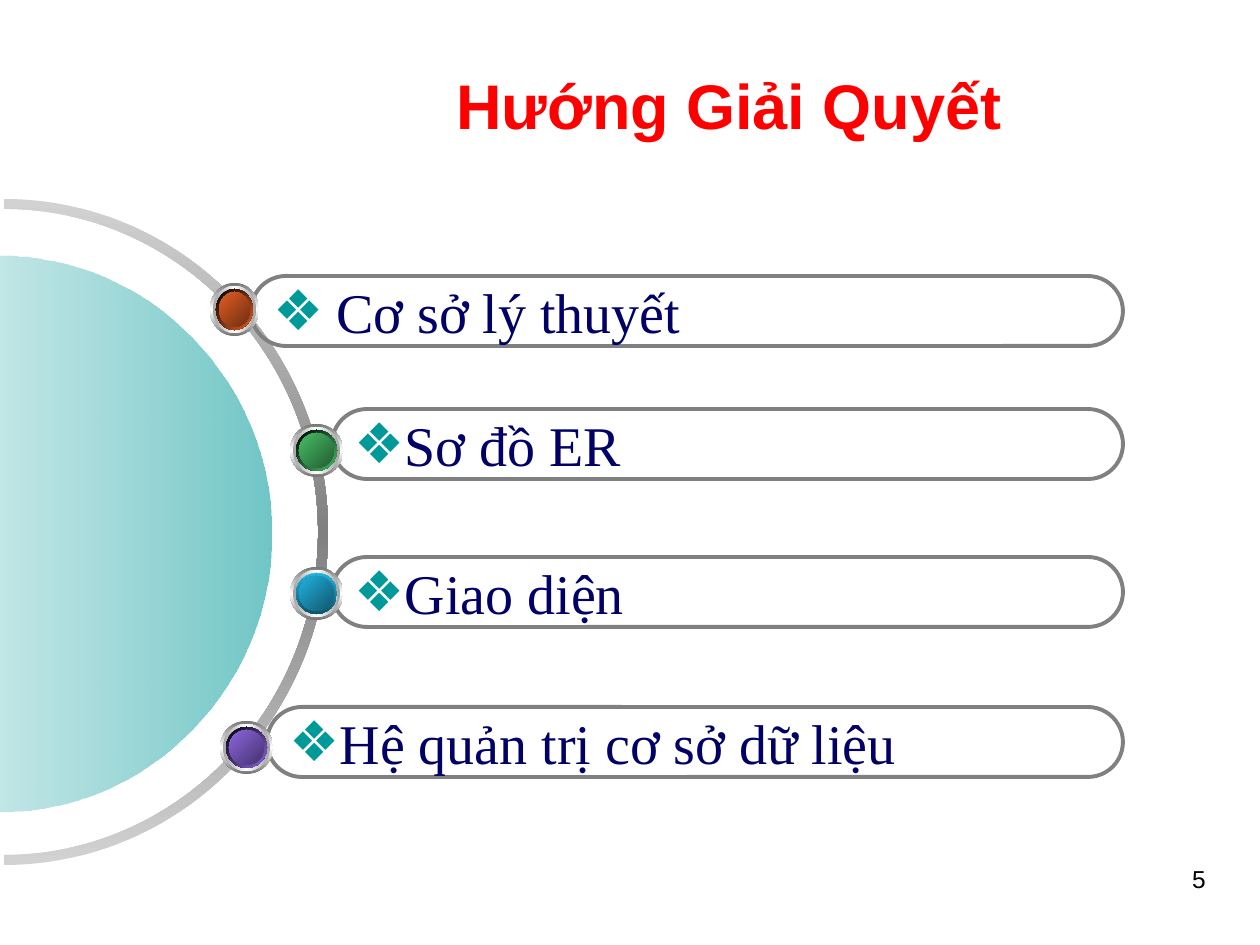
"""Build the 'Hướng Giải Quyết' slide: a half dial with four labelled bars."""
from lxml import etree
from pptx import Presentation
from pptx.dml.color import RGBColor
from pptx.enum.shapes import MSO_SHAPE
from pptx.enum.text import MSO_ANCHOR, PP_ALIGN
from pptx.oxml.ns import qn
from pptx.util import Emu, Pt

LEFT, CENTER, RIGHT = PP_ALIGN.LEFT, PP_ALIGN.CENTER, PP_ALIGN.RIGHT
TOP, MIDDLE = MSO_ANCHOR.TOP, MSO_ANCHOR.MIDDLE
OVAL, ROUND = MSO_SHAPE.OVAL, MSO_SHAPE.ROUNDED_RECTANGLE

C = {
    "title": "FF0000", "text": "000066", "number": "000000", "bullet": "009999",
    "line": "808080", "ring": "D2D2D2", "rim": "767676", "bevel": "A2A2A2",
    "white": "FFFFFF", "black": "000000", "teal": "009999", "teal_dark": "007575",
}
TITLE = "Hướng Giải Quyết"
NUMBER = "5"
KAPPA = 0.55
RING = {"frame": (-334, 203, 665, 658), "arcs": [(4, 532, 314, 323), (4, 532, 324, -333)]}
DISC = {"frame": (-278, 263, 556, 542), "arcs": [(0, 534, 271, 278)]}
BAR_RIGHT, BAR_H = 1123, 70
BARS = [
    {"text": "Cơ sở lý thuyết", "left": 251, "top": 276, "hang": 63},
    {"text": "Hệ quản trị cơ sở dữ liệu", "left": 267, "top": 707, "hang": 0},
    {"text": "Giao diện", "left": 332, "top": 557, "hang": 0},
    {"text": "Sơ đồ ER", "left": 332, "top": 409, "hang": 0},
]
BALLS = [
    {"box": (290, 424, 53, 53), "edge": (C["black"], "48BE67", 45), "face": ("48BE67", "235C32")},
    {"box": (290, 567, 53, 53), "edge": ("21B3E1", "0F5368", 90), "face": ("21B3E1", "10576D")},
    {"box": (220, 721, 53, 53), "edge": (C["black"], "8D67E1", 45), "face": ("8D67E1", "45326D")},
    {"box": (210, 283, 49, 53), "edge": (C["black"], "E35E23", 45), "face": ("E35E23", "6E2E11")},
]


def px(n):
    return Emu(round(n * 914400 / 126))


def place(sp, *box):
    sp.left, sp.top, sp.width, sp.height = map(px, box)


def gradient(sp, colours, angle, alphas=()):
    sp.shadow.inherit = False
    sp.line.fill.background()
    sp.fill.gradient()
    grad = sp._element.spPr.find(qn("a:gradFill"))
    stops = grad.find(qn("a:gsLst"))
    for old in list(stops):
        stops.remove(old)
    for i, colour in enumerate(colours):
        gs = etree.SubElement(stops, qn("a:gs"), pos=str(100000 * i // (len(colours) - 1)))
        clr = etree.SubElement(gs, qn("a:srgbClr"), val=colour)
        if alphas:
            etree.SubElement(clr, qn("a:alpha"), val=str(alphas[i] * 1000))
    grad.find(qn("a:lin")).set("ang", str(angle * 60000))


def write(sp, text, size, colour, font="Arial", bold=False, align=LEFT,
          anchor=MIDDLE, wrap=True, bullet=None, hang=0):
    tf = sp.text_frame
    tf.word_wrap, tf.vertical_anchor = wrap, anchor
    p = tf.paragraphs[0]
    p.alignment = align
    if bullet:
        pPr = p._p.get_or_add_pPr()
        pPr.set("marL", str(px(hang)))
        pPr.set("indent", str(-px(hang)))
        etree.SubElement(etree.SubElement(pPr, qn("a:buClr")), qn("a:srgbClr"), val=C["bullet"])
        etree.SubElement(pPr, qn("a:buFont"), typeface="Arial")
        etree.SubElement(pPr, qn("a:buChar"), char=bullet)
    r = p.add_run()
    r.text = text
    r.font.size, r.font.name, r.font.bold = Pt(size), font, bold
    r.font.color.rgb = RGBColor.from_string(colour)


def half_ellipse(cx, cy, rx, ry):
    kx, ky, right = rx * KAPPA, ry * KAPPA, cx + rx
    return [
        [(cx, cy - ry)],
        [(cx + kx, cy - ry), (right, cy - ky), (right, cy)],
        [(right, cy + ky), (cx + kx, cy + ry), (cx, cy + ry)],
    ]


def add_dial(s, frame, arcs):
    """Draw half ellipses as one curved outline in a frame turned by 90 degrees."""
    left, top, w, h = frame
    mid_x, mid_y = left + w / 2, top + h / 2
    builder = s.shapes.build_freeform(0, 0)
    builder.add_line_segments([(px(w), px(h))], close=True)
    sp = builder.convert_to_shape()
    place(sp, *frame)
    sp.rotation = 90
    outline = next(sp._element.iter(qn("a:path")))
    for old in list(outline):
        outline.remove(old)
    outline.set("w", str(px(w)))
    outline.set("h", str(px(h)))
    for i, arc in enumerate(arcs):
        tags = ("a:lnTo" if i else "a:moveTo", "a:cubicBezTo", "a:cubicBezTo")
        for tag, points in zip(tags, half_ellipse(*arc)):
            step = etree.SubElement(outline, qn(tag))
            for x, y in points:
                etree.SubElement(step, qn("a:pt"), x=str(px(w / 2 + y - mid_y)),
                                 y=str(px(h / 2 + mid_x - x)))
    etree.SubElement(outline, qn("a:close"))
    return sp


def add_bar(s, text, left, top, hang):
    sp = s.shapes.add_shape(ROUND, 0, 0, 0, 0)
    place(sp, left, top, BAR_RIGHT - left, BAR_H)
    sp.adjustments[0] = 0.5
    sp.shadow.inherit = False
    sp.fill.background()
    sp.line.color.rgb = RGBColor.from_string(C["line"])
    sp.line.width = Pt(2.25)
    write(sp, text, 32, C["text"], font="Times New Roman", wrap=False, bullet="❖", hang=hang)


def add_ball(s, box, edge, face):
    x, y, w, h = box
    layers = [
        (0, (C["rim"], C["white"], C["rim"]), 90),
        (3, (C["bevel"], C["white"], C["bevel"]), 0),
        (6, (C["white"], C["teal"], C["white"]), 45),
        (6, edge[:2], edge[2]),
        (9, (C["teal_dark"], C["teal"], C["teal_dark"]), 315),
        (9, face, 45),
    ]
    group = s.shapes.add_group_shape()
    for inset, colours, angle in layers:
        sp = group.shapes.add_shape(OVAL, px(x + inset), px(y + inset),
                                    px(w - 2 * inset), px(h - 2 * inset))
        gradient(sp, colours, angle)


def main():
    prs = Presentation()
    prs.slide_width, prs.slide_height = px(1260), px(945)
    s = prs.slides.add_slide(prs.slide_layouts[5])
    place(s.shapes.title, 241, 39, 976, 130)
    write(s.shapes.title, TITLE, 36, C["title"], bold=True, align=CENTER)

    gradient(add_dial(s, **RING), (C["ring"], C["line"], C["ring"]), 0)
    gradient(add_dial(s, **DISC), (C["teal"], C["white"]), 90, alphas=(56, 48))

    for bar in BARS:
        add_bar(s, **bar)
    for ball in BALLS:
        add_ball(s, **ball)

    number = s.shapes.add_textbox(px(924), px(858), px(294), px(77))
    write(number, NUMBER, 14, C["number"], align=RIGHT, anchor=TOP)
    prs.save("out.pptx")


if __name__ == "__main__":
    main()
